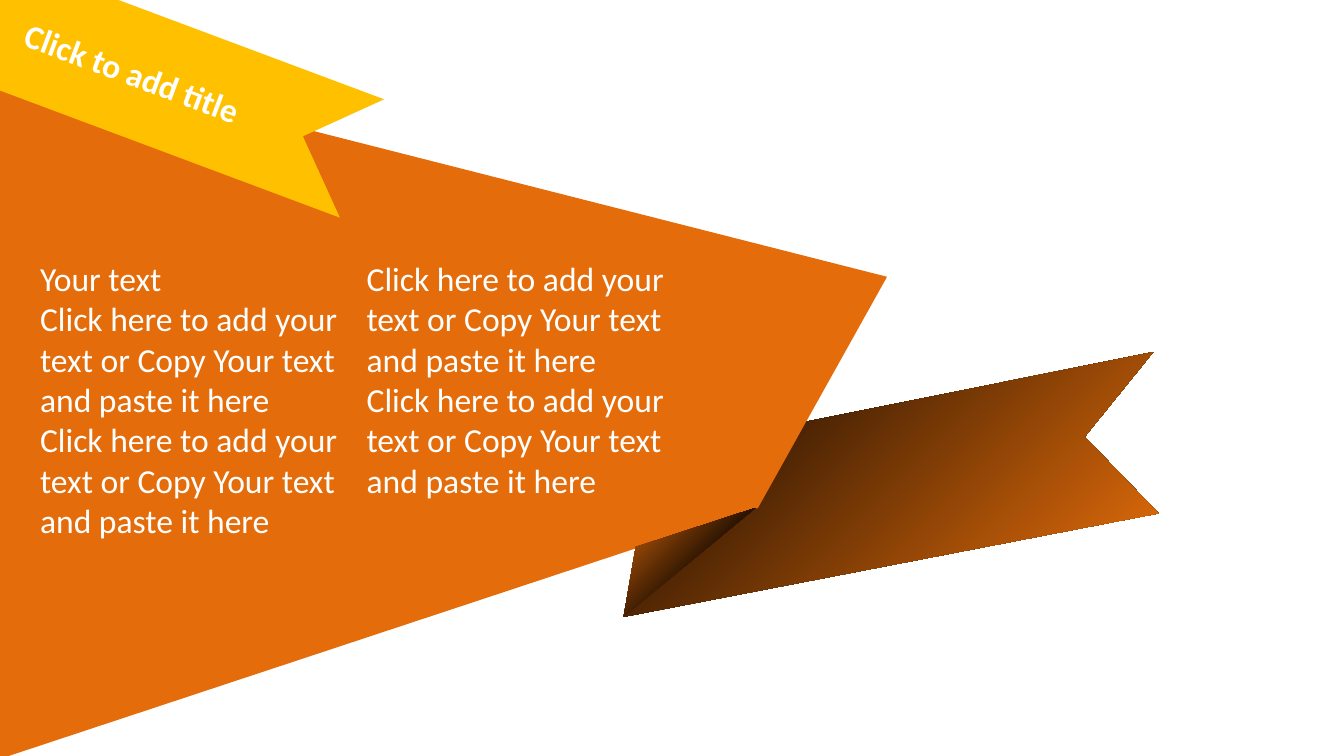
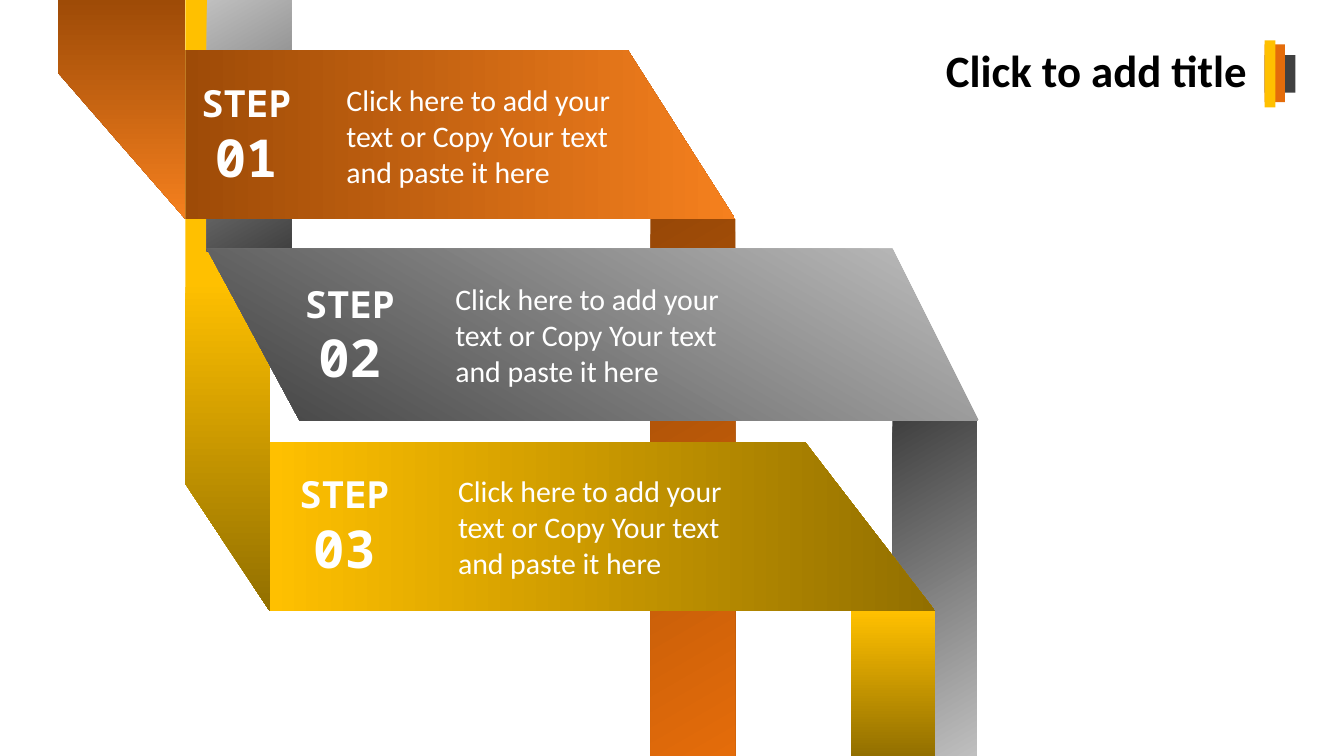
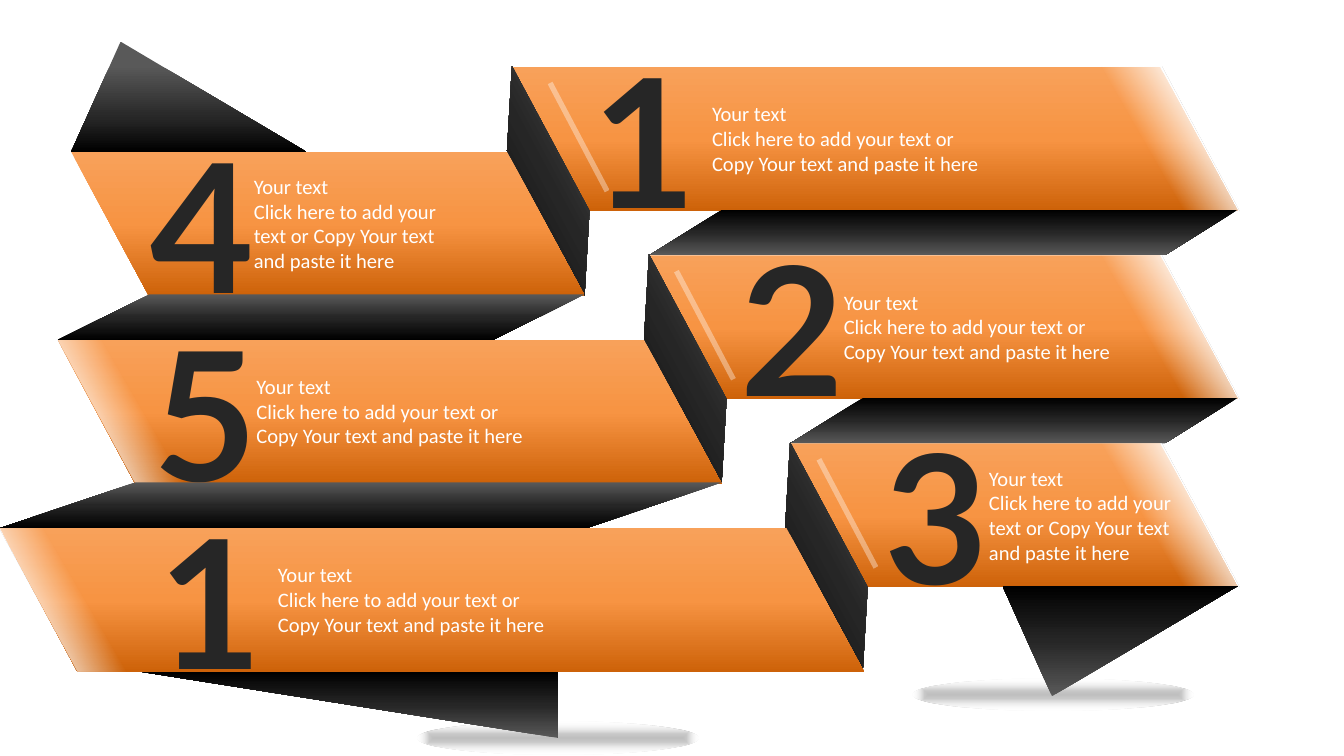
from dataclasses import dataclass

from lxml import etree
from pptx import Presentation
from pptx.dml.color import RGBColor
from pptx.enum.shapes import MSO_SHAPE
from pptx.enum.text import MSO_ANCHOR, MSO_AUTO_SIZE, PP_ALIGN
from pptx.oxml.ns import qn
from pptx.util import Inches, Pt

RECTANGLE = MSO_SHAPE.RECTANGLE
ELLIPSE = MSO_SHAPE.OVAL
CHEVRON = MSO_SHAPE.CHEVRON
PARALLELOGRAM = MSO_SHAPE.PARALLELOGRAM
TRIANGLE = MSO_SHAPE.ISOSCELES_TRIANGLE
LEFT, CENTER = PP_ALIGN.LEFT, PP_ALIGN.CENTER
MIDDLE = MSO_ANCHOR.MIDDLE
FIT_SHAPE = MSO_AUTO_SIZE.SHAPE_TO_FIT_TEXT


@dataclass(frozen=True)
class Gradient:
    """Stops are (percent, colour) or (percent, colour, opacity percent).

    Without an angle the gradient runs outwards from the centre.
    """
    stops: tuple
    angle: float | None = 90


@dataclass(frozen=True)
class TextStyle:
    size: int
    colour: str | Gradient = "FFFFFF"
    bold: bool = False
    font: str = "Calibri"


class Theme:
    white = "FFFFFF"
    orange = "E46C0A"
    yellow = "FFC000"
    dark_yellow = "926F00"
    grey = "404040"
    light_grey = "BFBFBF"
    rust = "9E4B07"
    bright_orange = "F5801E"

    orange_band = Gradient(((0, "F8A15A"), (50, "F79443"), (100, "CD6209")))
    dark_to_light = Gradient(((0, "000000"), (50, "262626"), (100, "595959")))
    light_to_dark = Gradient(((0, "595959"), (50, "262626"), (100, "000000")))
    top_tip = Gradient(((22, "595959"), (70, "262626"), (100, "000000")))
    ground_shadow = Gradient(((0, light_grey), (24, "C9C9C9"), (100, white, 0)), None)
    fade_right = Gradient(((9, white, 0), (39, white, 0), (74, white), (100, white)), 210)
    fade_left = Gradient(((0, white), (20, white), (56, white, 0), (100, white, 0)), 210)
    glint = Gradient(((0, white, 37), (100, white, 37)))

    ribbon_title = TextStyle(18, bold=True)
    page_title = TextStyle(24, "000000", True)
    body = TextStyle(18)
    step_text = TextStyle(16)
    step_word = TextStyle(20, bold=True, font="Noto Sans Mono")
    step_number = TextStyle(28, bold=True, font="Noto Sans Mono")
    band_text = TextStyle(11)
    band_number = TextStyle(96, light_to_dark, True, "Lato")


TITLE = "Click to add title"
HEADING = "Your text"
NARROW_LINES = ("Click here to add your", "text or Copy Your text", "and paste it here")
WIDE_LINES = ("Click here to add your text or", "Copy Your text and paste it here")

PAGE_WIDTH = 10
PAGE_HEIGHT = PAGE_WIDTH * 9 / 16
BAND_HEIGHT = 1.07
BAND_STEP = 1.4
BAND_SLANT = 0.54


def paint_gradient(fill, owner, gradient):
    fill.gradient()
    element = owner.find(qn("a:gradFill"))
    stop_list = element.find(qn("a:gsLst"))
    for stop in list(stop_list):
        stop_list.remove(stop)
    for percent, colour, *opacity in gradient.stops:
        stop = etree.SubElement(stop_list, qn("a:gs"), pos=str(percent * 1000))
        tint = etree.SubElement(stop, qn("a:srgbClr"), val=colour)
        if opacity:
            etree.SubElement(tint, qn("a:alpha"), val=str(opacity[0] * 1000))
    if gradient.angle is not None:
        fill.gradient_angle = 360 - gradient.angle
        return
    element.remove(element.find(qn("a:lin")))
    radial = etree.SubElement(element, qn("a:path"), path="shape")
    etree.SubElement(radial, qn("a:fillToRect"), l="50000", t="50000", r="50000", b="50000")


def paint(fill, owner, colour):
    if isinstance(colour, Gradient):
        paint_gradient(fill, owner, colour)
    else:
        fill.solid()
        fill.fore_color.rgb = RGBColor.from_string(colour)


def finish_shape(shape, colour):
    shape.shadow.inherit = False
    shape.line.fill.background()
    paint(shape.fill, shape._element.spPr, colour)
    return shape


def add_preset(shapes, kind, box, colour, rotation=0, slant=None, flip=False):
    shape = shapes.add_shape(kind, *map(Inches, box))
    shape.rotation = rotation
    if slant is not None:
        shape.adjustments[0] = slant
    if flip:
        shape._element.spPr.find(qn("a:xfrm")).set("flipH", "1")
    return finish_shape(shape, colour)


def add_outline(shapes, points, colour):
    corners = [(Inches(x), Inches(y)) for x, y in points]
    builder = shapes.build_freeform(*corners[0])
    builder.add_line_segments(corners[1:], close=True)
    return finish_shape(builder.convert_to_shape(), colour)


def add_span(para, text, style):
    span = para.add_run()
    span.text = text
    span.font.size = Pt(style.size)
    span.font.bold = style.bold
    span.font.name = style.font
    paint(span.font.fill, span.font._element, style.colour)


def write_lines(frame, lines, style, align=LEFT):
    """Fill the empty first paragraph, then append one paragraph a line."""
    for text in lines:
        para = frame.paragraphs[-1]
        if para.runs:
            para = frame.add_paragraph()
        para.alignment = align
        add_span(para, text, style)


def add_text(shapes, box, lines, style, wrap=False):
    frame = shapes.add_textbox(*map(Inches, box)).text_frame
    frame.word_wrap = wrap
    frame.auto_size = FIT_SHAPE
    write_lines(frame, lines, style)
    return frame


def add_page(deck):
    return deck.slides.add_slide(deck.slide_layouts[6]).shapes


def build_banner_page(deck):
    shapes = add_page(deck)
    add_outline(shapes, [(5.99, 3.14), (8.58, 2.62), (8.07, 3.25), (8.62, 3.82), (4.64, 4.59)],
                Gradient(((0, "000000"), (100, "F3740B")), 45))
    add_outline(shapes, [(-0.01, 0.38), (-0.01, 5.65), (5.64, 3.78), (6.6, 2.06)], Theme.orange)

    ribbon = add_preset(shapes, CHEVRON, (-0.84, 0.07, 3.65, 0.94), Theme.yellow,
                        rotation=20.5, flip=True)
    ribbon.text_frame.vertical_anchor = MIDDLE
    write_lines(ribbon.text_frame, [TITLE], Theme.ribbon_title, CENTER)

    add_outline(shapes, [(5.62, 3.78), (4.64, 4.59), (4.73, 4.07)],
                Gradient(((0, "D26409"), (68, "000000"), (100, "636363")), 45))
    add_text(shapes, (0.2, 1.87, 2.5, 2.22), (HEADING, *NARROW_LINES * 2), Theme.body)
    add_text(shapes, (2.63, 1.87, 2.5, 1.92), NARROW_LINES * 2, Theme.body)


def add_page_title(shapes):
    stripes = shapes.add_group_shape().shapes
    for top, width, height, colour in ((0.41, 0.23, 0.28, Theme.grey),
                                       (0.33, 0.15, 0.43, Theme.orange),
                                       (0.3, 0.08, 0.5, Theme.yellow)):
        add_preset(stripes, RECTANGLE, (9.41, top, width, height), colour)
    add_text(shapes, (6.94, 0.27, 2.47, 0.5), [TITLE], Theme.page_title)


def add_step(shapes, number, label_at, text_at):
    label = add_text(shapes, (*label_at, 0.94, 0.91), ["STEP"], Theme.step_word)
    write_lines(label, [f"{number:02}"], Theme.step_number, CENTER)
    add_text(shapes, (*text_at, 2.24, 0.91), NARROW_LINES, Theme.step_text)


def build_steps_page(deck):
    shapes = add_page(deck)
    strip = 0.63
    light_to_grey = ((0, Theme.light_grey), (100, Theme.grey))
    grey_to_light = ((0, Theme.grey), (100, Theme.light_grey))
    rust_stops = ((0, Theme.rust), (100, Theme.bright_orange))
    yellow_stops = ((0, Theme.yellow), (100, Theme.dark_yellow))

    add_preset(shapes, RECTANGLE, (6.64, 3.13, strip, PAGE_HEIGHT - 3.13),
               Gradient(grey_to_light, 60))
    add_preset(shapes, RECTANGLE, (4.84, 1.63, strip, PAGE_HEIGHT - 1.63),
               Gradient(((0, "984807"), (100, Theme.orange)), 60))
    add_outline(shapes, [(2.01, 4.55), (1.38, 3.6), (1.38, 0), (2.01, 0)],
                Gradient(((46, Theme.yellow), (100, Theme.dark_yellow))))
    add_preset(shapes, RECTANGLE, (1.54, 0, strip, 1.87), Gradient(light_to_grey, 60))
    add_outline(shapes, [(1.38, 1.63), (0.43, 0.54), (0.43, 0), (1.38, 0)], Gradient(rust_stops))

    add_outline(shapes, [(5.47, 1.63), (4.67, 0.37), (1.38, 0.37), (1.38, 1.63)],
                Gradient(rust_stops, 0))
    add_outline(shapes, [(6.96, 4.55), (5.99, 3.29), (2.01, 3.29), (2.01, 4.55)],
                Gradient(yellow_stops, 0))
    add_outline(shapes, [(7.28, 3.13), (6.64, 1.85), (1.54, 1.85), (2.23, 3.13)],
                Gradient(light_to_grey, 120))
    add_preset(shapes, RECTANGLE, (6.33, 4.55, strip, PAGE_HEIGHT - 4.55),
               Gradient(yellow_stops))

    steps = (((1.4, 0.55), (2.48, 0.56)),
             ((2.17, 2.04), (3.29, 2.04)),
             ((2.13, 3.46), (3.31, 3.47)))
    for number, (label_at, text_at) in enumerate(steps, 1):
        add_step(shapes, number, label_at, text_at)
    add_page_title(shapes)


def add_band(shapes, left, top, width, colour):
    add_preset(shapes, PARALLELOGRAM, (left, top, width, BAND_HEIGHT), colour,
               slant=BAND_SLANT, flip=True)


def add_band_number(shapes, left, band_top, number):
    add_text(shapes, (left, band_top - 0.33, 0.82, 1.72), [number], Theme.band_number)


def add_band_text(shapes, left, band_top, lines):
    """Centre the heading and its lines vertically on the band."""
    width, height = (1.62, 0.84) if lines is NARROW_LINES else (2.56, 0.66)
    top = band_top + (BAND_HEIGHT - height) / 2
    add_text(shapes, (left, top, width, height), (HEADING, *lines), Theme.band_text, wrap=True)


def add_right_bands(shapes):
    right_edge, fade_width = 9.21, 1.07
    # band left, number, number left, glint left, text left, lines
    bands = ((3.81, "1", 4.31, 3.85, 5.2, WIDE_LINES),
             (4.83, "2", 5.41, 4.79, 6.18, WIDE_LINES),
             (5.88, "3", 6.48, 5.85, 7.26, NARROW_LINES))
    for row, (left, number, number_left, glint_left, text_left, lines) in enumerate(bands):
        top = 0.5 + BAND_STEP * row
        if row:
            add_preset(shapes, PARALLELOGRAM, (left, top - 0.34, right_edge - left, 0.34),
                       Theme.dark_to_light, slant=1.6)
        add_band(shapes, left, top, right_edge - left, Theme.orange_band)
        add_band_number(shapes, number_left, top, number)
        add_preset(shapes, RECTANGLE, (glint_left, top + 0.5, 0.91, 0.04), Theme.glint,
                   rotation=62.2)
        add_band(shapes, right_edge - fade_width + 0.01, top, fade_width, Theme.fade_right)
        add_band_text(shapes, text_left, top, lines)
    add_preset(shapes, TRIANGLE, (7.46, 4.36, 1.75, 0.82), Theme.light_to_dark,
               rotation=180, slant=0.79)


def add_left_bands(shapes):
    # band left, width, side fold left, number, number left, text left, lines
    bands = ((0.53, 3.82, 3.2, "4", 1.02, 1.79, NARROW_LINES),
             (0.43, 4.94, 4.22, "5", 1.04, 1.81, WIDE_LINES),
             (0, 6.43, 5.27, "1", 1.08, 1.97, WIDE_LINES))
    for row, (left, width, fold_left, number, number_left, text_left, lines) in enumerate(bands):
        top = 1.13 + BAND_STEP * row
        add_preset(shapes, PARALLELOGRAM, (fold_left, top + 0.05, 1.76, 0.33),
                   Theme.light_to_dark, rotation=61.8, slant=1.63, flip=True)
        add_band(shapes, left, top, width, Theme.orange_band)
        if row:
            add_band(shapes, left, top, 1.07, Theme.fade_left)
        add_band_number(shapes, number_left, top, number)
        add_band_text(shapes, text_left, top, lines)

    for box, slant in (((0.43, 2.19, 3.92, 0.34), 2.01), ((0, 3.59, 5.37, 0.34), 2.96)):
        add_preset(shapes, PARALLELOGRAM, box, Theme.light_to_dark, slant=slant)
    add_preset(shapes, TRIANGLE, (1.06, 5, 3.09, 0.49), Theme.light_to_dark,
               rotation=180, slant=0)
    add_preset(shapes, TRIANGLE, (0.53, 0.31, 1.75, 0.82), Theme.top_tip, slant=0.79, flip=True)


def build_folded_bands_page(deck):
    shapes = add_page(deck)
    for left, top in ((3.11, 5.37), (6.79, 5.05)):
        add_preset(shapes, ELLIPSE, (left, top, 2.09, 0.24), Theme.ground_shadow)
    add_right_bands(shapes)
    add_left_bands(shapes)


def main():
    deck = Presentation()
    deck.slide_width = Inches(PAGE_WIDTH)
    deck.slide_height = Inches(PAGE_HEIGHT)
    build_banner_page(deck)
    build_steps_page(deck)
    build_folded_bands_page(deck)
    deck.save("out.pptx")


if __name__ == "__main__":
    main()
